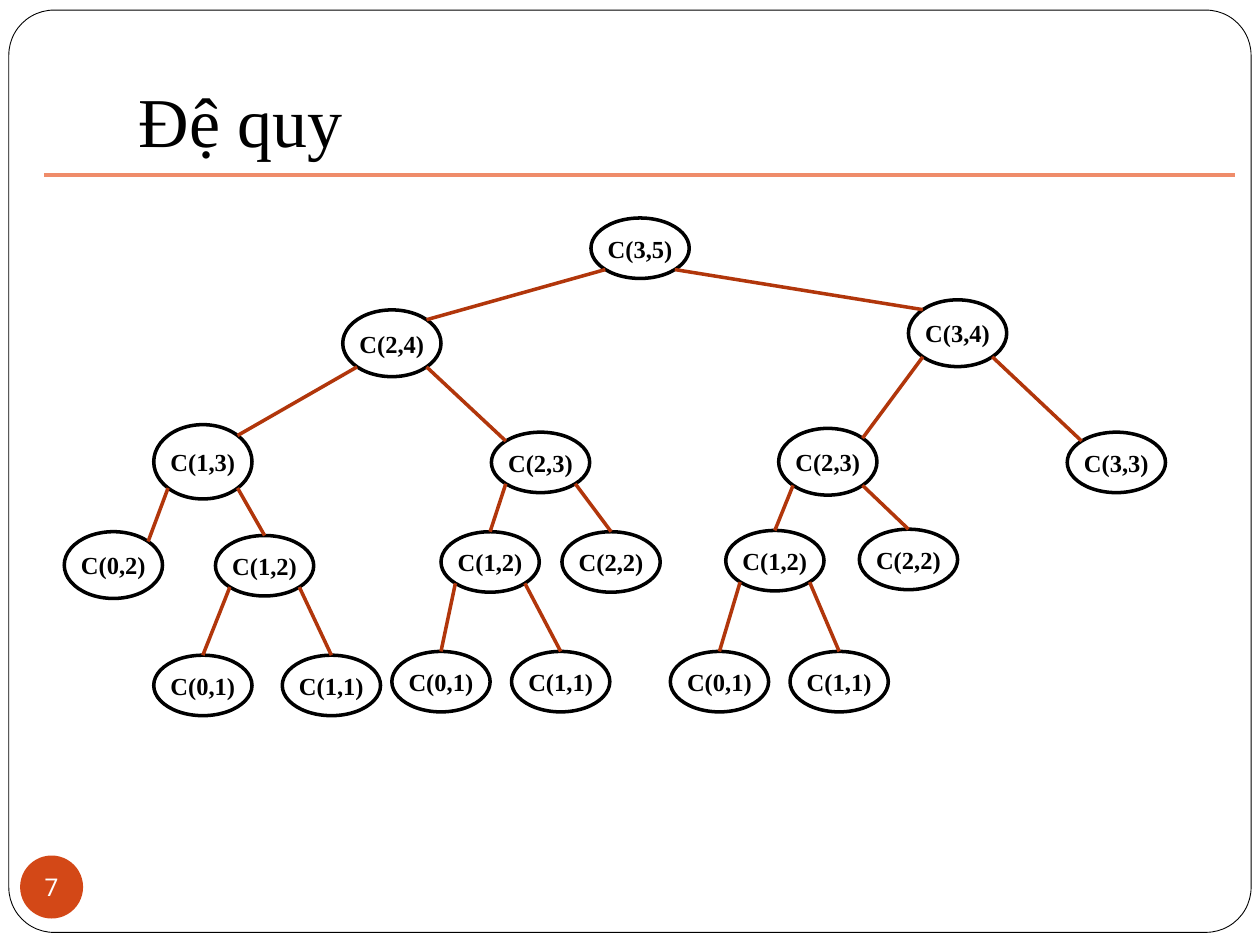
from math import sqrt

from pptx import Presentation
from pptx.dml.color import RGBColor
from pptx.enum.shapes import MSO_CONNECTOR, MSO_SHAPE
from pptx.enum.text import MSO_ANCHOR, MSO_AUTO_SIZE, PP_ALIGN
from pptx.oxml.ns import qn
from pptx.util import Inches, Pt
from lxml import etree

SERIF, SANS = "Times New Roman", "Roboto"
BLACK, WHITE = "000000", "FFFFFF"
ACCENT, RULE, BRANCH = "D34817", "EF8C6A", "B1360B"

NODE_WIDTH = 0.78
LOW, MID, TALL = 0.48, 0.53, 0.59  # node heights
CORNER_REACH = 0.7  # a child further sideways is joined at its upper corner

# Each node: label, left, top, height, children from left to right
CALL_TREE = ("C(3,5)", 4.69, 1.73, LOW, [
    ("C(2,4)", 2.72, 2.46, MID, [
        ("C(1,3)", 1.22, 3.37, TALL, [
            ("C(0,2)", 0.51, 4.22, MID, []),
            ("C(1,2)", 1.71, 4.25, LOW, [
                ("C(0,1)", 1.22, 5.2, LOW, []),
                ("C(1,1)", 2.24, 5.2, LOW, [])])]),
        ("C(2,3)", 3.9, 3.43, LOW, [
            ("C(1,2)", 3.5, 4.22, LOW, [
                ("C(0,1)", 3.11, 5.17, LOW, []),
                ("C(1,1)", 4.06, 5.17, LOW, [])]),
            ("C(2,2)", 4.46, 4.22, LOW, [])])]),
    ("C(3,4)", 7.21, 2.38, MID, [
        ("C(2,3)", 6.18, 3.4, MID, [
            ("C(1,2)", 5.76, 4.21, LOW, [
                ("C(0,1)", 5.32, 5.17, LOW, []),
                ("C(1,1)", 6.27, 5.17, LOW, [])]),
            ("C(2,2)", 6.82, 4.2, LOW, [])]),
        ("C(3,3)", 8.47, 3.43, LOW, [])])])


def color(hex_code):
    return RGBColor.from_string(hex_code)


def add_run(paragraph, text, size, font_name, hex_code, bold=False):
    run = paragraph.add_run()
    run.text = text
    run.font.size, run.font.name, run.font.bold = Pt(size), font_name, bold
    run.font.color.rgb = color(hex_code)


def add_outline(slide, kind, box, fill=None, line=None, weight=2):
    shape = slide.shapes.add_shape(kind, *map(Inches, box))
    shape.shadow.inherit = False
    if fill:
        shape.fill.solid()
        shape.fill.fore_color.rgb = color(fill)
    else:
        shape.fill.background()
    if line:
        shape.line.color.rgb = color(line)
        shape.line.width = Pt(weight)
    else:
        shape.line.fill.background()
    return shape


def add_label(shape, text, size, font_name, hex_code, bold=False, wrap=True):
    frame = shape.text_frame
    frame.margin_left = frame.margin_right = frame.margin_top = frame.margin_bottom = 0
    frame.vertical_anchor = MSO_ANCHOR.MIDDLE
    frame.word_wrap = wrap
    frame.paragraphs[0].alignment = PP_ALIGN.CENTER
    add_run(frame.paragraphs[0], text, size, font_name, hex_code, bold)


def add_line(slide, start, end, hex_code):
    line = slide.shapes.add_connector(
        MSO_CONNECTOR.STRAIGHT, *map(Inches, (*start, *end)))
    line.line.color.rgb = color(hex_code)
    line.line.width = Pt(2)
    etree.SubElement(line._element.spPr, qn("a:effectLst"))


def add_frame(slide, box):
    frame = add_outline(slide, MSO_SHAPE.ROUNDED_RECTANGLE, box, WHITE, BLACK, 0.5)
    frame.adjustments[0] = 0.049
    slide.shapes.title._element.addprevious(frame._element)  # behind the title


def add_title(slide, box, text):
    title = slide.shapes.title
    title.left, title.top, title.width, title.height = map(Inches, box)
    frame = title.text_frame
    frame.margin_left = frame.margin_right = frame.margin_bottom = Inches(0.1)
    frame.margin_top = Inches(0.05)
    frame.vertical_anchor = MSO_ANCHOR.BOTTOM
    frame.word_wrap = True
    frame.auto_size = MSO_AUTO_SIZE.NONE
    frame.paragraphs[0].alignment = PP_ALIGN.LEFT
    add_run(frame.paragraphs[0], text, 40, SERIF, BLACK)


def add_page_number(slide, box, number):
    badge = add_outline(slide, MSO_SHAPE.OVAL, box, fill=ACCENT)
    add_label(badge, number, 14, SANS, WHITE, wrap=False)


def oval_point(node, across, down):
    """Point on a node's oval; across and down are -1, 0 or 1."""
    _, left, top, height, _ = node
    reach = 1 / sqrt(across ** 2 + down ** 2)
    return (left + NODE_WIDTH / 2 * (1 + across * reach),
            top + height / 2 * (1 + down * reach))


def add_call_tree(slide, node):
    label, left, top, height, children = node
    oval = add_outline(slide, MSO_SHAPE.OVAL, (left, top, NODE_WIDTH, height), line=BLACK)
    add_label(oval, label, 14, SERIF, BLACK, bold=True)
    for side, child in zip((-1, 1), children):
        add_call_tree(slide, child)
        far = abs(child[1] - left) > CORNER_REACH
        add_line(slide, oval_point(node, side, 1),
                 oval_point(child, -side if far else 0, -1), BRANCH)


def main():
    prs = Presentation()
    prs.slide_width, prs.slide_height = Inches(10), Inches(7.5)
    slide = prs.slides.add_slide(prs.slide_layouts[5])
    slide.background.fill.solid()
    slide.background.fill.fore_color.rgb = color(WHITE)

    # Page furniture
    add_frame(slide, (0.07, 0.08, 9.86, 7.32))
    add_title(slide, (1, 0.13, 8.5, 1.25), "Đệ quy")
    add_line(slide, (0.35, 1.39), (9.8, 1.39), RULE)
    add_page_number(slide, (0.16, 6.79, 0.5, 0.5), "7")

    # Recursion tree
    add_call_tree(slide, CALL_TREE)
    prs.save("out.pptx")


if __name__ == "__main__":
    main()
